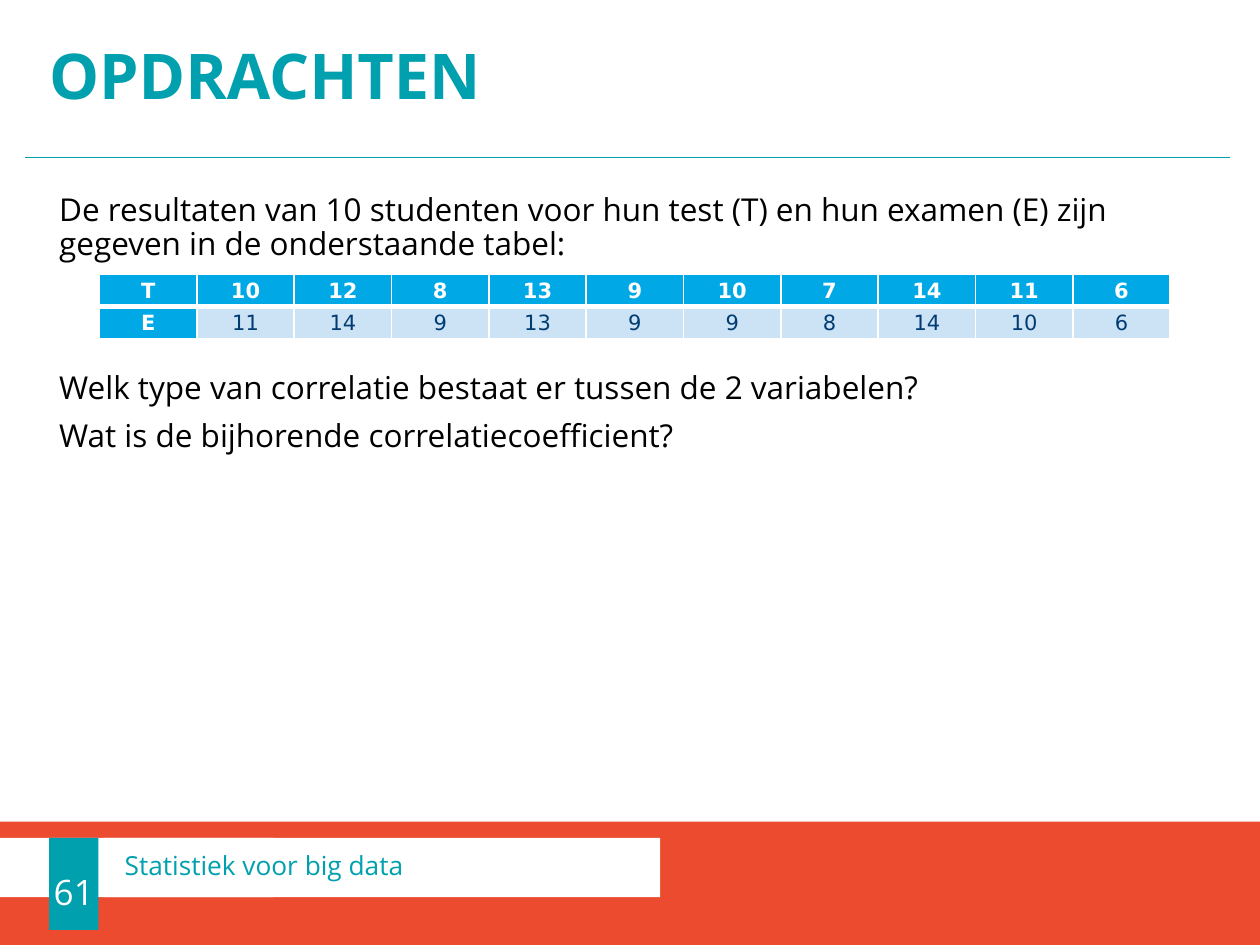
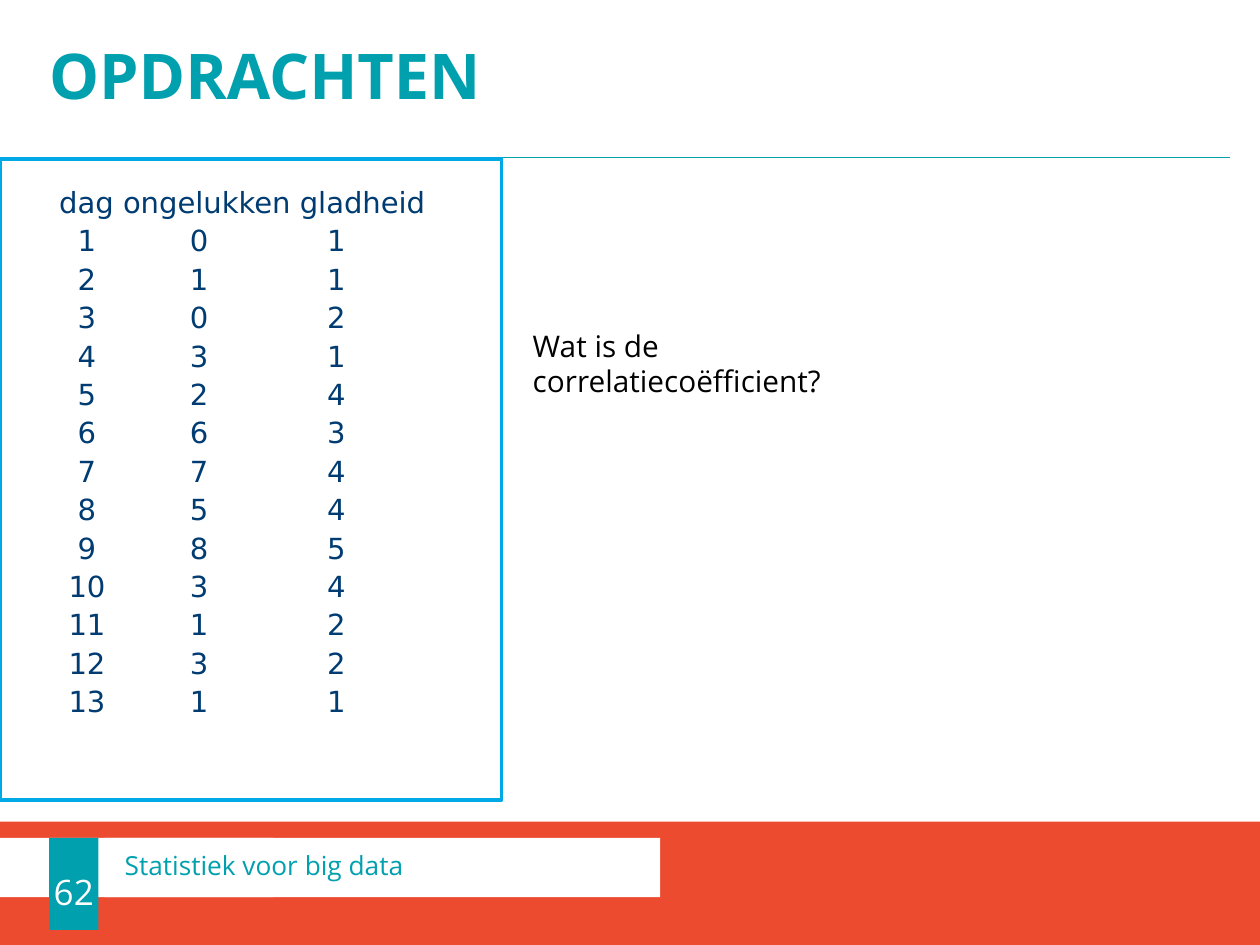
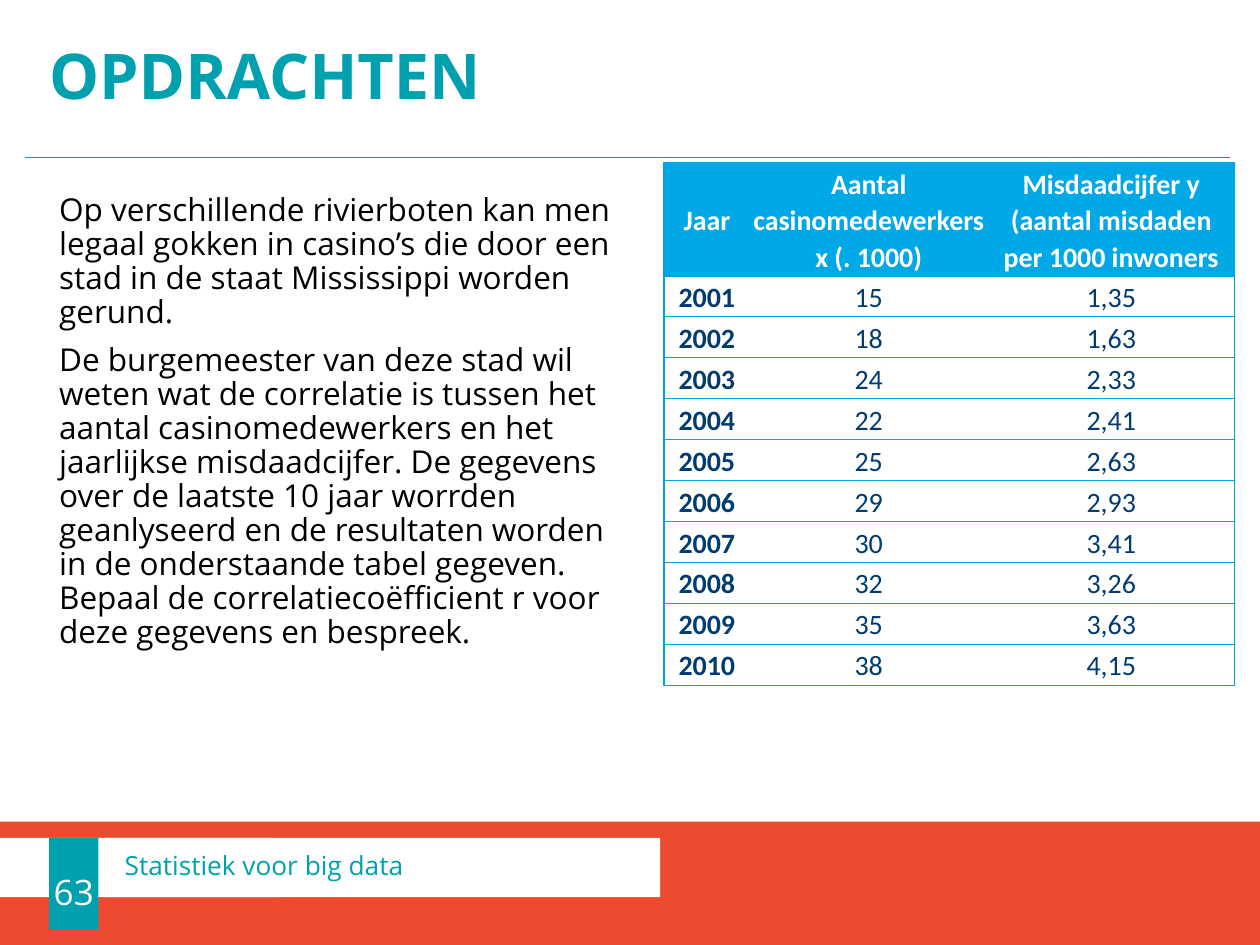
from dataclasses import dataclass

from lxml import etree
from pptx import Presentation
from pptx.dml.color import RGBColor
from pptx.enum.shapes import MSO_CONNECTOR, MSO_SHAPE
from pptx.enum.text import MSO_ANCHOR, PP_ALIGN
from pptx.oxml.ns import qn
from pptx.util import Inches, Pt

LEFT, CENTER = PP_ALIGN.LEFT, PP_ALIGN.CENTER
TOP, MIDDLE = MSO_ANCHOR.TOP, MSO_ANCHOR.MIDDLE
RECTANGLE, STRAIGHT = MSO_SHAPE.RECTANGLE, MSO_CONNECTOR.STRAIGHT


@dataclass(frozen=True)
class Theme:
    """Colours, fonts and type sizes of the deck."""
    teal: str = "00A0AE"
    red: str = "EC4B2F"
    blue: str = "00A9E5"
    grid: str = "00A5E0"
    pale: str = "CCE2F5"
    navy: str = "003C72"
    white: str = "FFFFFF"
    black: str = "000000"
    main_font: str = "Open Sans"
    data_font: str = "DejaVu Sans"
    table_font: str = "Calibri"
    title_size: float = 36
    number_size: float = 20
    body_size: float = 18
    question_size: float = 17
    days_size: float = 16.6
    crime_size: float = 16
    footer_size: float = 15
    scores_size: float = 12


THEME = Theme()

# Content
TITLE = "OPDRACHTEN"
COURSE = "Statistiek voor big data"
FIRST_NUMBER = 61

SCORES_INTRO = ("De resultaten van 10 studenten voor hun test (T) en hun examen (E) "
                "zijn gegeven in de onderstaande tabel:")
SCORES_QUESTIONS = ["Welk type van correlatie bestaat er tussen de 2 variabelen?",
                    "Wat is de bijhorende correlatiecoefficient?"]
SCORES = [("T", 10, 12, 8, 13, 9, 10, 7, 14, 11, 6),
          ("E", 11, 14, 9, 13, 9, 9, 8, 14, 10, 6)]

DAYS_HEADING = "dag ongelukken gladheid"
ACCIDENTS = [0, 1, 0, 3, 2, 6, 7, 5, 8, 3, 1, 3, 1]
SLIPPERINESS = [1, 1, 2, 1, 4, 3, 4, 4, 5, 4, 2, 2, 1]
DAYS_QUESTION = "Wat is de correlatiecoëfficient?"

CASINO_TEXT = [
    "Op verschillende rivierboten kan men legaal gokken in casino’s die door een stad "
    "in de staat Mississippi worden gerund.",
    "De burgemeester van deze stad wil weten wat de correlatie is tussen het aantal "
    "casinomedewerkers en het jaarlijkse misdaadcijfer. De gegevens over de laatste 10 "
    "jaar worrden geanlyseerd en de resultaten worden in de onderstaande tabel gegeven. "
    "Bepaal de correlatiecoëfficient r voor deze gegevens en bespreek.",
]
CRIME_HEADER = ("Jaar", "Aantal casinomedewerkers x (. 1000)",
                "Misdaadcijfer y (aantal misdaden per 1000 inwoners")
FIRST_YEAR = 2001
STAFF = [15, 18, 24, 22, 25, 29, 30, 32, 35, 38]
CRIME = ["1,35", "1,63", "2,33", "2,41", "2,63", "2,93", "3,41", "3,26", "3,63", "4,15"]

# Layout, in inches
BODY_TOP = 1.26
BODY_INSETS = (0.47, 0.28, 0.47, 0.16)
CELL_INSETS = (0.02,) * 4
DAY_TABS = (0.22, 1.11, 2.2)
BODY_GAP = 4          # points above and below a body paragraph
QUESTIONS_GAP = 59    # points that leave room for the scores table


def write(frame, lines, *, size, color, font=THEME.main_font, bold=False, align=LEFT,
          anchor=TOP, spacing=1.0, before=0, after=0,
          insets=(0.1, 0.05, 0.1, 0.05), wrap=True):
    """Fill a text frame, one paragraph a line, in one format."""
    frame.word_wrap = wrap
    frame.vertical_anchor = anchor
    (frame.margin_left, frame.margin_top,
     frame.margin_right, frame.margin_bottom) = map(Inches, insets)
    for index, line in enumerate(lines):
        paragraph = frame.add_paragraph() if index else frame.paragraphs[0]
        paragraph.alignment = align
        paragraph.line_spacing = spacing
        paragraph.space_before, paragraph.space_after = Pt(before), Pt(after)
        run = paragraph.add_run()
        run.text = line
        run.font.name, run.font.size, run.font.bold = font, Pt(size), bold
        run.font.color.rgb = RGBColor.from_string(color)
    return frame.paragraphs


def add_box(slide, place, fill, outline=None):
    """Add a flat rectangle at left, top, width, height."""
    box = slide.shapes.add_shape(RECTANGLE, *map(Inches, place))
    box.shadow.inherit = False
    box.fill.solid()
    box.fill.fore_color.rgb = RGBColor.from_string(fill)
    if outline:
        box.line.color.rgb = RGBColor.from_string(outline)
        box.line.width = Pt(2)
    else:
        box.line.fill.background()
    return box


def add_body(slide, width, lines):
    """Add the running text below the title rule."""
    body = slide.shapes.add_textbox(*map(Inches, (0, BODY_TOP, width, 5.48)))
    return write(body.text_frame, lines, size=THEME.body_size, color=THEME.black,
                 spacing=0.9, before=BODY_GAP, after=BODY_GAP, insets=BODY_INSETS)


def set_center_tabs(paragraph, positions):
    """Give a paragraph centred tab stops."""
    tabs = etree.SubElement(paragraph._p.get_or_add_pPr(), qn("a:tabLst"))
    for position in positions:
        etree.SubElement(tabs, qn("a:tab"), pos=str(Inches(position)), algn="ctr")


def set_borders(cell, borders):
    """Draw the given sides as (colour, points) and hide the others."""
    properties = cell._tc.get_or_add_tcPr()
    for index, side in enumerate("LRTB"):
        color, points = borders.get(side, (None, 0))
        line = etree.Element(qn(f"a:ln{side}"), w=str(Pt(points)))
        if color:
            fill = etree.SubElement(line, qn("a:solidFill"))
            etree.SubElement(fill, qn("a:srgbClr"), val=color)
        else:
            etree.SubElement(line, qn("a:noFill"))
        properties.insert(index, line)


def add_table(slide, corner, widths, heights, rows, style):
    """Add a table; style(row, column) gives fill, borders and text format."""
    place = (*corner, sum(widths), sum(heights))
    table = slide.shapes.add_table(len(rows), len(widths), *map(Inches, place)).table
    table.first_row = table.horz_banding = False
    for column, width in zip(table.columns, widths):
        column.width = Inches(width)
    for row, height in zip(table.rows, heights):
        row.height = Inches(height)
    for r, values in enumerate(rows):
        for c, value in enumerate(values):
            cell = table.cell(r, c)
            fill, borders, text_format = style(r, c)
            write(cell.text_frame, [str(value)], align=CENTER, spacing=1.07, after=8,
                  **text_format)
            (cell.margin_left, cell.margin_top,
             cell.margin_right, cell.margin_bottom) = map(Inches, CELL_INSETS)
            cell.vertical_anchor = MIDDLE
            if fill:
                cell.fill.solid()
                cell.fill.fore_color.rgb = RGBColor.from_string(fill)
            else:
                cell.fill.background()
            set_borders(cell, borders)


def scores_style(row, column):
    """Blue heading row and column, pale values, white grid."""
    heading = row == 0 or column == 0
    borders = dict.fromkeys("LRTB", (THEME.white, 1))
    borders["B" if row == 0 else "T"] = (THEME.white, 3)
    return (THEME.blue if heading else THEME.pale, borders,
            dict(size=THEME.scores_size, font=THEME.data_font, bold=heading,
                 color=THEME.white if heading else THEME.navy))


def crime_style(row, column):
    """Blue heading row, ruled rows and an outer frame."""
    line = (THEME.grid, 0.75)
    borders = {"T": line, "B": line}
    if column == 0:
        borders["L"] = line
    if column == len(CRIME_HEADER) - 1:
        borders["R"] = line
    return (THEME.blue if row == 0 else None, borders,
            dict(size=THEME.crime_size, font=THEME.table_font,
                 bold=row == 0 or column == 0,
                 color=THEME.white if row == 0 else THEME.navy))


def add_slide(deck, number):
    """Add a slide with the shared title, rule and footer."""
    slide = deck.slides.add_slide(deck.slide_layouts[5])
    title = slide.shapes.title
    title.left, title.top, title.width, title.height = map(Inches, (0, 0, 10, 1.25))
    write(title.text_frame, [TITLE], size=THEME.title_size, color=THEME.teal, bold=True,
          anchor=MIDDLE, spacing=0.8, insets=(0.39, 0.2, 0.39, 0.16))

    rule = slide.shapes.add_connector(STRAIGHT, *map(Inches, (0.2, 1.25, 9.76, 1.25)))
    rule.line.color.rgb = RGBColor.from_string(THEME.teal)
    rule.line.width = Pt(0.5)
    etree.SubElement(rule._element.spPr, qn("a:effectLst"))

    add_box(slide, (0, 6.52, 10, 0.98), THEME.red)
    add_box(slide, (0, 6.65, 2.17, 0.47), THEME.white)
    number_tab = add_box(slide, (0.39, 6.65, 0.39, 0.73), THEME.teal)
    write(number_tab.text_frame, [str(number)], size=THEME.number_size,
          color=THEME.white, align=CENTER, anchor=MIDDLE, insets=(0, 0.12, 0, 0),
          wrap=False)
    course_band = add_box(slide, (0.83, 6.65, 4.41, 0.47), THEME.white)
    write(course_band.text_frame, [COURSE], size=THEME.footer_size, color=THEME.teal,
          anchor=MIDDLE, spacing=0.9, insets=(0.16, 0, 0.16, 0))
    return slide


def build_scores(slide):
    """Test and exam results of ten students."""
    paragraphs = add_body(slide, 10.2, [SCORES_INTRO, *SCORES_QUESTIONS])
    paragraphs[1].space_before = Pt(QUESTIONS_GAP)
    columns = len(SCORES[0])
    add_table(slide, (0.79, 2.18), [8.5 / columns] * columns, [0.47 / 2] * 2, SCORES,
              scores_style)


def build_days(slide):
    """Accidents and slipperiness by day."""
    days = enumerate(zip(ACCIDENTS, SLIPPERINESS), start=1)
    lines = [f"\t{day}\t{accidents}\t{slippery}" for day, (accidents, slippery) in days]
    panel = add_box(slide, (0, BODY_TOP, 3.98, 5.09), THEME.white, THEME.blue)
    paragraphs = write(panel.text_frame, [DAYS_HEADING, *lines], size=THEME.days_size,
                       color=THEME.navy, font=THEME.data_font, spacing=0.7,
                       before=BODY_GAP, after=BODY_GAP, insets=BODY_INSETS)
    for paragraph in paragraphs[1:]:
        set_center_tabs(paragraph, DAY_TABS)
    question = slide.shapes.add_textbox(*map(Inches, (4.13, 2.55, 3.07, 0.67)))
    write(question.text_frame, [DAYS_QUESTION], size=THEME.question_size,
          color=THEME.black)


def build_casinos(slide):
    """Casino staff and crime rate by year."""
    add_body(slide, 5.47, CASINO_TEXT)
    years = range(FIRST_YEAR, FIRST_YEAR + len(STAFF))
    rows = [CRIME_HEADER, *zip(years, STAFF, CRIME)]
    add_table(slide, (5.27, 1.29), [0.68, 1.89, 1.96], [0.9] + [3.24 / 10] * len(STAFF),
              rows, crime_style)


def main():
    """Build and save the deck."""
    deck = Presentation()
    deck.slide_width, deck.slide_height = Inches(10), Inches(7.5)
    builders = (build_scores, build_days, build_casinos)
    for number, build in enumerate(builders, start=FIRST_NUMBER):
        build(add_slide(deck, number))
    deck.save("out.pptx")


main()
